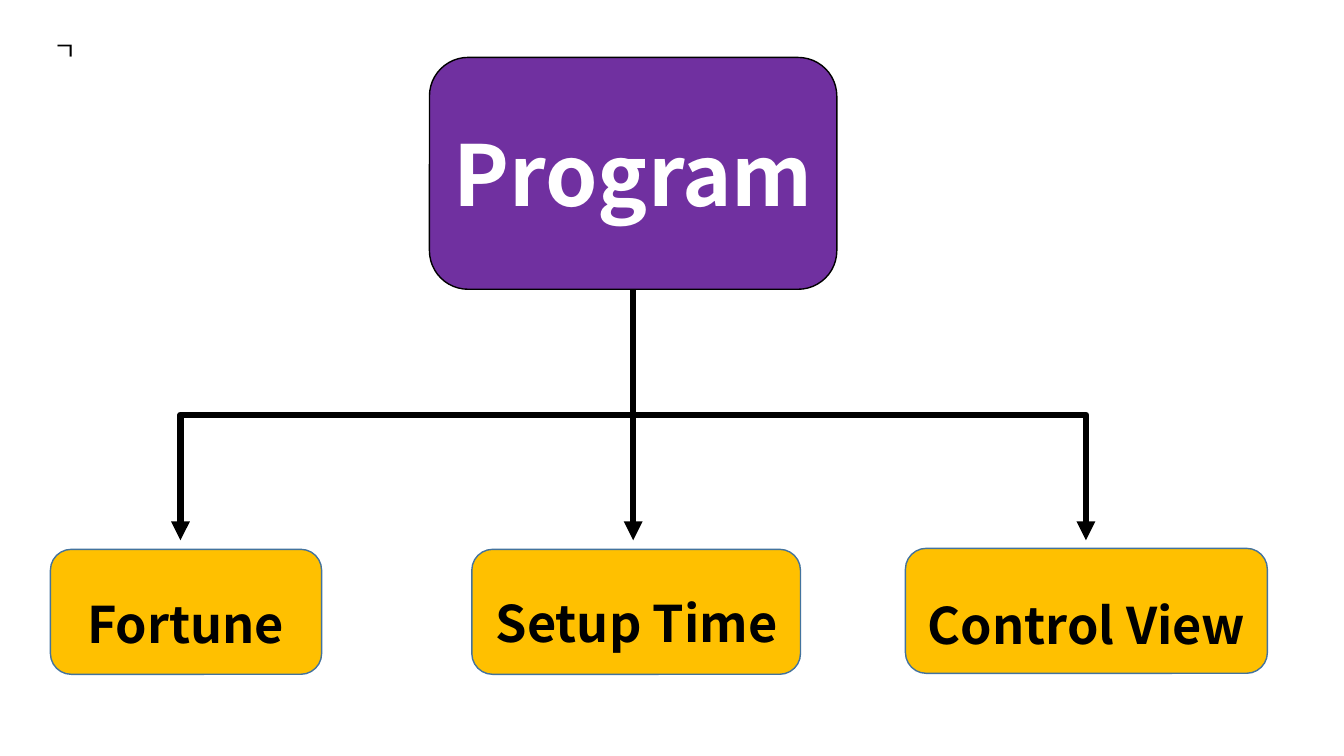
from pptx import Presentation
from pptx.dml.color import RGBColor
from pptx.enum.shapes import MSO_CONNECTOR, MSO_SHAPE
from pptx.enum.text import MSO_ANCHOR, MSO_AUTO_SIZE, PP_ALIGN
from pptx.oxml.ns import qn
from pptx.util import Inches, Pt
from lxml.etree import SubElement

FONT = "Noto Sans CJK KR"
BLACK = "000000"


def write(box, text, size, color=BLACK, bold=False, align=PP_ALIGN.LEFT,
          anchor=MSO_ANCHOR.TOP, spacing=None, grow=False):
    frame = box.text_frame
    frame.word_wrap = True
    frame.vertical_anchor = anchor
    if grow:
        frame.auto_size = MSO_AUTO_SIZE.SHAPE_TO_FIT_TEXT
    para = frame.paragraphs[0]
    para.alignment = align
    para.line_spacing = spacing
    span = para.add_run()
    span.text = text
    span.font.name = FONT
    span.font.size = Pt(size)
    span.font.bold = bold
    span.font.color.rgb = RGBColor.from_string(color)
    # Hangul takes the East Asian typeface
    SubElement(span.font._element, qn("a:ea"), typeface=FONT)


def add_rounded_box(shapes, left, top, width, height, fill, line):
    box = shapes.add_shape(MSO_SHAPE.ROUNDED_RECTANGLE, Inches(left), Inches(top),
                           Inches(width), Inches(height))
    box.shadow.inherit = False
    box.fill.solid()
    box.fill.fore_color.rgb = RGBColor.from_string(fill)
    box.line.color.rgb = RGBColor.from_string(line)
    box.line.width = Pt(1)
    return box


deck = Presentation()
deck.slide_width = Inches(13.33)
deck.slide_height = Inches(7.5)
page = deck.slides.add_slide(deck.slide_layouts[6])

# Root of the tree
root = add_rounded_box(page.shapes, 4.26, 0.57, 4.04, 2.3, "7030A0", BLACK)
write(root, "Program", 60, color="FFFFFF", bold=True,
      align=PP_ALIGN.CENTER, anchor=MSO_ANCHOR.MIDDLE)

# Branches: name, box left, top and width, label left, top and width
branches = [
    ("Fortune", (0.5, 5.45, 2.69), (0.69, 5.13, 2.3)),
    ("Setup Time", (4.68, 5.45, 3.26), (4.46, 5.12, 3.71)),
    ("Control View", (8.98, 5.44, 3.59), (8.53, 5.14, 4.49)),
]
for name, box_place, label_place in branches:
    group = page.shapes.add_group_shape()
    add_rounded_box(group.shapes, *box_place, 1.24, "FFC000", "43739E")
    left, top, width = label_place
    label = group.shapes.add_textbox(Inches(left), Inches(top), Inches(width), Inches(1.8))
    write(label, name, 36, bold=True, align=PP_ALIGN.CENTER,
          anchor=MSO_ANCHOR.MIDDLE, spacing=1.5, grow=True)

# Arrows from the root down to the branches
trunk_x, start_y, end_y = 6.28, 2.87, 5.36
reach = 4.49
drop = end_y - start_y
middle_y = (start_y + end_y) / 2
arrows = []
for side, rotation in ((-1, 90), (1, 270)):
    # An elbow runs sideways first, so it is laid flat and then turned
    center_x = trunk_x + side * reach / 2
    elbow = page.shapes.add_connector(
        MSO_CONNECTOR.ELBOW,
        Inches(center_x + side * drop / 2), Inches(middle_y - reach / 2),
        Inches(center_x - side * drop / 2), Inches(middle_y + reach / 2))
    elbow._element.spPr.find(qn("a:xfrm")).set("rot", str(rotation * 60000))
    arrows.append(elbow)

trunk = page.shapes.add_connector(MSO_CONNECTOR.STRAIGHT, Inches(trunk_x), Inches(start_y),
                                  Inches(trunk_x), Inches(end_y))
trunk.begin_connect(root, 2)
arrows.append(trunk)

for arrow in arrows:
    arrow.line.color.rgb = RGBColor.from_string(BLACK)
    arrow.line.width = Pt(4.5)
    SubElement(arrow.line._get_or_add_ln(), qn("a:tailEnd"), type="triangle")
    SubElement(arrow._element.spPr, qn("a:effectLst"))

# Corner mark
corner = page.shapes.add_textbox(Inches(0.43), Inches(0.3), Inches(0.44), Inches(0.4))
write(corner, "ㄱ", 18, grow=True)

deck.save("out.pptx")
